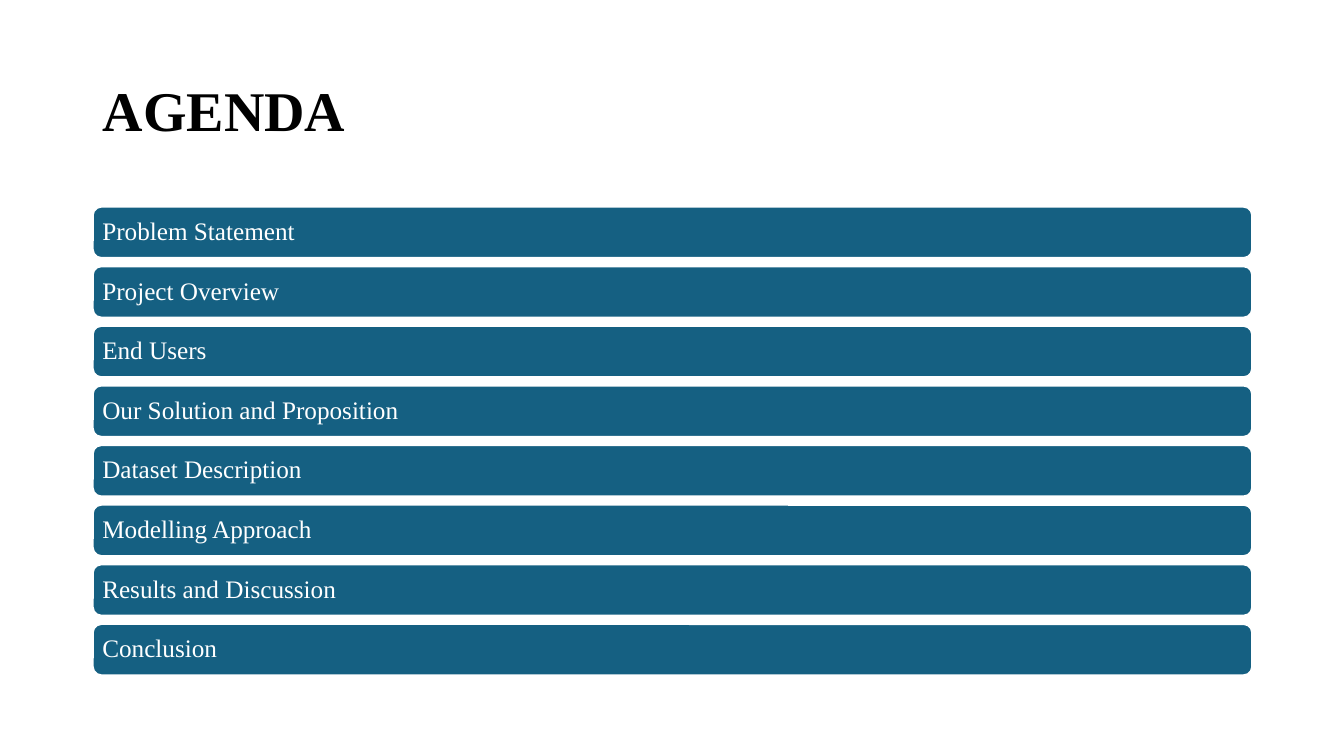
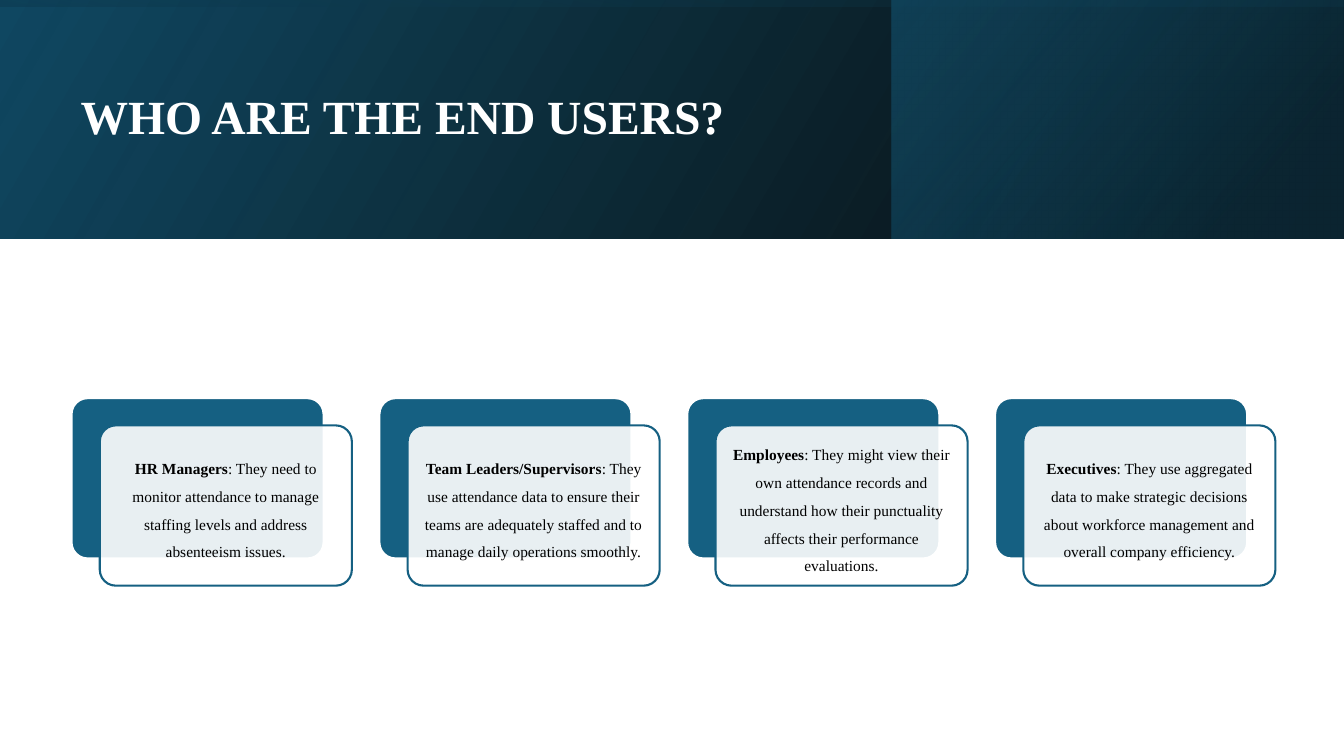
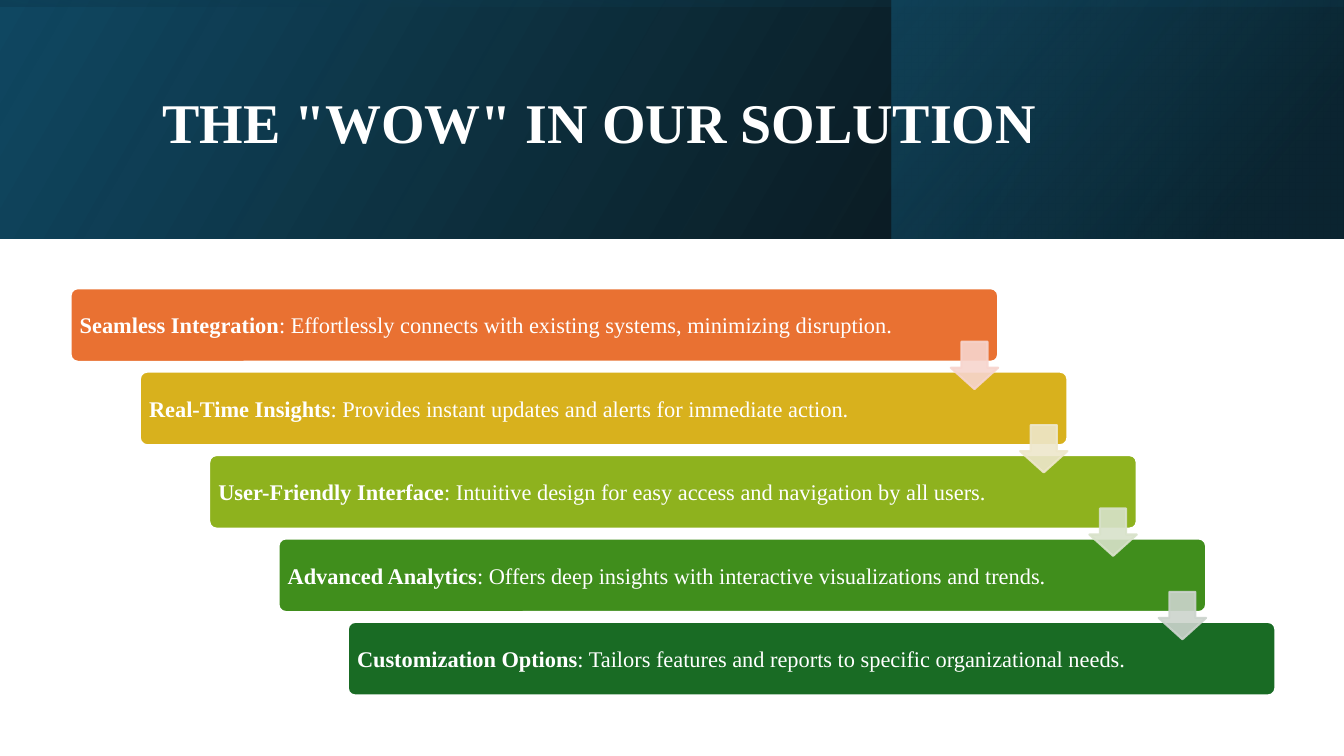
from lxml.etree import SubElement
from pptx import Presentation
from pptx.dml.color import RGBColor
from pptx.enum.shapes import MSO_SHAPE
from pptx.enum.text import MSO_ANCHOR, MSO_AUTO_SIZE, PP_ALIGN
from pptx.oxml.ns import qn
from pptx.util import Inches, Pt

FONT = "Times New Roman"
COLORS = {
    "white": "FFFFFF", "black": "000000", "teal": "156082",
    "navy": "104862", "deep": "0B3041",
    "orange": "E97132", "gold": "D8B11D", "lime": "8EB21E",
    "green": "408E1C", "forest": "196B24",
    "pale_orange": "F7D5CE", "pale_gold": "EEE7CB",
    "pale_lime": "D8E2CA", "pale_green": "CCD4CD",
}

# Header layers: box, rotation, angle, stops of (position %, colour, opacity %)
BAND_LAYERS = [
    ((0, 0, 13.33, 2.37), 0, 30, [(0, "black", 96), (100, "navy", 100)]),
    ((8.84, 0, 4.48, 2.37), 0, 40, [(19, "deep", 68), (100, "teal", 48)]),
    ((5.48, -5.48, 2.37, 13.33), 270, 10, [(23, "navy", 16), (99, "black", 45)]),
]

AGENDA = [
    "Problem Statement", "Project Overview", "End Users",
    "Our Solution and Proposition", "Dataset Description",
    "Modelling Approach", "Results and Discussion", "Conclusion",
]

END_USERS = [
    ("HR Managers", ": They need to monitor attendance to manage staffing "
     "levels and address absenteeism issues."),
    ("Team Leaders/Supervisors", ": They use attendance data to ensure their "
     "teams are adequately staffed and to manage daily operations smoothly."),
    ("Employees", ": They might view their own attendance records and understand "
     "how their punctuality affects their performance evaluations."),
    ("Executives", ": They use aggregated data to make strategic decisions about "
     "workforce management and overall company efficiency."),
]

# Fill, heading, explanation
BENEFITS = [
    ("orange", "Seamless Integration",
     ": Effortlessly connects with existing systems, minimizing disruption."),
    ("gold", "Real-Time Insights",
     ": Provides instant updates and alerts for immediate action."),
    ("lime", "User-Friendly Interface",
     ": Intuitive design for easy access and navigation by all users."),
    ("green", "Advanced Analytics",
     ": Offers deep insights with interactive visualizations and trends."),
    ("forest", "Customization Options",
     ": Tailors features and reports to specific organizational needs."),
]
ARROW_COLORS = ["pale_orange", "pale_gold", "pale_lime", "pale_green"]


def rgb(name):
    return RGBColor.from_string(COLORS[name])


def spread(first, last, count):
    """Evenly spaced positions from first to last."""
    return [first + i * (last - first) / (count - 1) for i in range(count)]


def apply_format(target, values):
    for name, value in values.items():
        setattr(target, name, value)


def set_opacity(color_parent, percent):
    """Add an alpha value to every plain colour below an element."""
    for color in color_parent.iter(qn("a:srgbClr")):
        SubElement(color, qn("a:alpha")).set("val", str(percent * 1000))


def add_block(slide, kind, box, fill, line, adjustments=(), opacity=100):
    block = slide.shapes.add_shape(kind, *map(Inches, box))
    block.shadow.inherit = False
    block.fill.solid()
    block.fill.fore_color.rgb = rgb(fill)
    block.line.color.rgb = rgb(line)
    block.line.width = Pt(1.5)
    for i, value in enumerate(adjustments):
        block.adjustments[i] = value
    if opacity < 100:
        set_opacity(block._element.spPr.find(qn("a:solidFill")), opacity)
    return block


def write(shape, runs, size, color, inset, spacing=1.0, align=PP_ALIGN.LEFT):
    """Write one paragraph of (text, bold) runs, centred vertically."""
    frame = shape.text_frame
    apply_format(frame, {
        "word_wrap": True,
        "auto_size": MSO_AUTO_SIZE.NONE,
        "vertical_anchor": MSO_ANCHOR.MIDDLE,
        **{f"margin_{side}": Inches(inset)
           for side in ("left", "top", "right", "bottom")},
    })
    paragraph = frame.paragraphs[0]
    apply_format(paragraph, {"alignment": align, "line_spacing": spacing})
    for text, bold in runs:
        run = paragraph.add_run()
        run.text = text
        apply_format(run.font, {"name": FONT, "size": Pt(size), "bold": bold})
        run.font.color.rgb = rgb(color)


def add_band(slide):
    for box, rotation, angle, stops in BAND_LAYERS:
        layer = slide.shapes.add_shape(MSO_SHAPE.RECTANGLE, *map(Inches, box))
        layer.shadow.inherit = False
        layer.rotation = rotation
        layer._element.spPr.xfrm.set("flipH", "1")
        layer.line.fill.background()
        layer.fill.gradient()
        layer.fill.gradient_angle = angle
        for stop, (position, color, opacity) in zip(layer.fill.gradient_stops, stops):
            stop.position = position / 100
            stop.color.rgb = rgb(color)
            set_opacity(stop._gs, opacity)


def add_titled_slide(deck, text, box, size, color="black", band=False):
    slide = deck.slides.add_slide(deck.slide_layouts[5])
    title = slide.shapes.title
    if band:
        add_band(slide)
        slide.shapes._spTree.append(title._element)  # keep the title in front
    apply_format(title, dict(zip(("left", "top", "width", "height"),
                                 map(Inches, box))))
    write(title, [(text, True)], size, color, 0.1, spacing=0.9)
    return slide


def build_agenda(deck):
    slide = add_titled_slide(deck, "AGENDA", (0.92, 0.4, 11.5, 1.45), 40)
    for top, topic in zip(spread(2.05, 6.19, len(AGENDA)), AGENDA):
        bar = add_block(slide, MSO_SHAPE.ROUNDED_RECTANGLE,
                        (0.92, top, 11.5, 0.51), "teal", "white")
        write(bar, [(topic, False)], 18, "white", 0.07, spacing=0.9)


def build_end_users(deck):
    slide = add_titled_slide(deck, "WHO ARE THE END USERS?",
                             (0.7, 0.32, 10.63, 1.72), 34, "white", band=True)
    width, height = 2.5, 1.59
    for left, (user, need) in zip(spread(0.71, 9.87, len(END_USERS)), END_USERS):
        add_block(slide, MSO_SHAPE.ROUNDED_RECTANGLE,
                  (left, 3.95, width, height), "teal", "white", [0.1])
        card = add_block(slide, MSO_SHAPE.ROUNDED_RECTANGLE,
                         (left + 0.28, 4.22, width, height),
                         "white", "teal", [0.1], opacity=90)
        write(card, [(user, True), (need, False)], 11, "black", 0.05,
              spacing=1.5, align=PP_ALIGN.CENTER)


def build_solution(deck):
    slide = add_titled_slide(deck, 'THE "WOW" IN OUR SOLUTION',
                             (1.51, 0.38, 10.63, 1.72), 40, "white", band=True)
    width, arrow_size = 9.2, 0.47
    lefts = spread(0.7, 3.45, len(BENEFITS))
    tops = spread(2.86, 6.17, len(BENEFITS))
    for left, top, (fill, benefit, detail) in zip(lefts, tops, BENEFITS):
        step = add_block(slide, MSO_SHAPE.ROUNDED_RECTANGLE,
                         (left, top, width, 0.73), fill, "white", [0.1])
        write(step, [(benefit, True), (detail, False)], 16, "white", 0.07)

    # Arrows lead from each step down to the next
    for left, top, color in zip(lefts, tops, ARROW_COLORS):
        arrow = add_block(slide, MSO_SHAPE.DOWN_ARROW,
                          (left + width - arrow_size, top + 0.53,
                           arrow_size, arrow_size),
                          color, color, [0.55, 0.45], opacity=90)
        set_opacity(arrow._element.spPr.find(qn("a:ln")), 90)


def main():
    deck = Presentation()
    deck.slide_width, deck.slide_height = Inches(13.33), Inches(7.5)
    build_agenda(deck)
    build_end_users(deck)
    build_solution(deck)
    deck.save("out.pptx")


if __name__ == "__main__":
    main()
